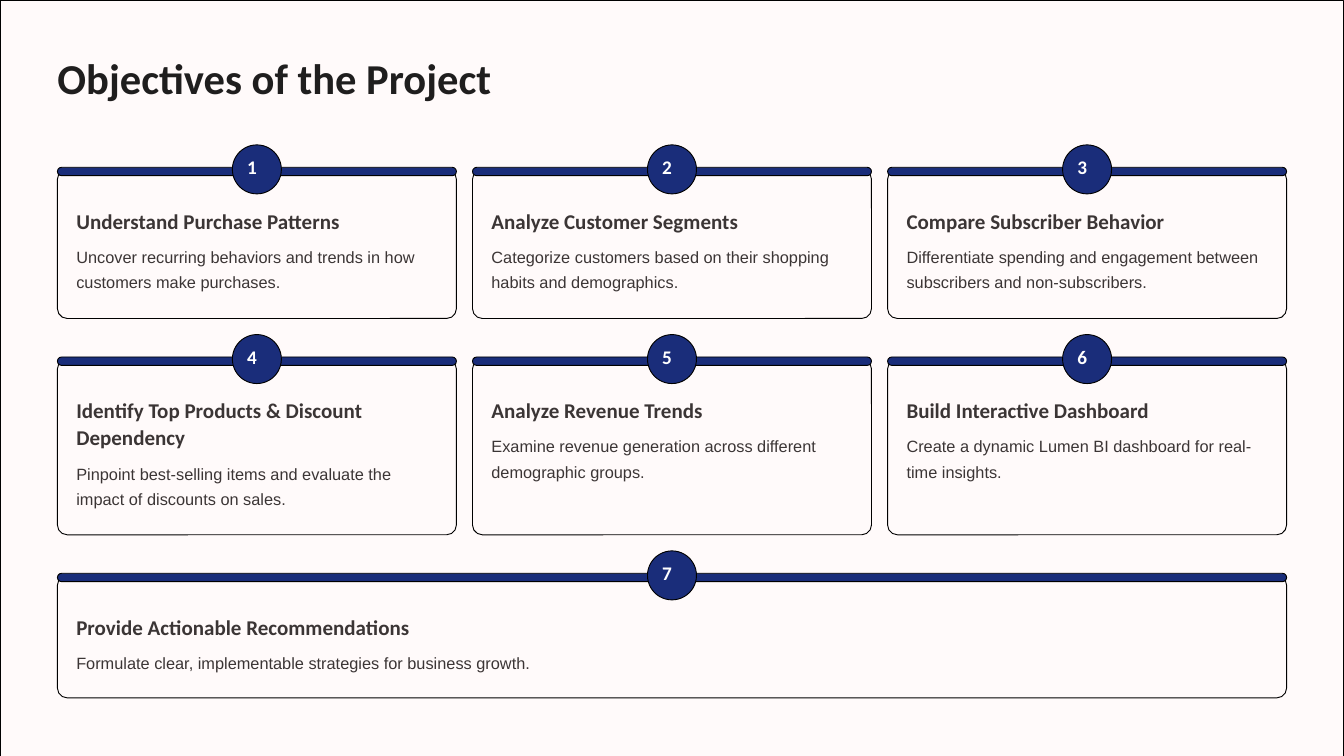
import pptx
import pptx.util
from pptx.dml.color import RGBColor
from pptx.enum.shapes import MSO_SHAPE
from pptx.enum.text import MSO_AUTO_SIZE

PX = 9525  # EMU, with the slide 1920 px wide
WIDTH, HEIGHT = 1920, 1080

CREAM = RGBColor(0xFF, 0xFA, 0xFA)
NAVY = RGBColor(0x1A, 0x2D, 0x7A)
BLACK = RGBColor(0, 0, 0)
WHITE = RGBColor(0xFF, 0xFF, 0xFF)
TITLE_INK = RGBColor(0x1F, 0x1E, 0x1E)
BODY_INK = RGBColor(0x3B, 0x35, 0x35)

MARGIN = 82
COLUMN_GAP = 23
ROW_GAP = 58
FIRST_ROW_TOP = 242
HEADING_LINE = 39

# Each row: card height, then its cards as (heading lines, heading, description)
ROWS = [
    (213, [
        (1, "Understand Purchase Patterns",
         "Uncover recurring behaviors and trends in how customers make purchases."),
        (1, "Analyze Customer Segments",
         "Categorize customers based on their shopping habits and demographics."),
        (1, "Compare Subscriber Behavior",
         "Differentiate spending and engagement between subscribers and non-subscribers."),
    ]),
    (251, [
        (2, "Identify Top Products & Discount Dependency",
         "Pinpoint best-selling items and evaluate the impact of discounts on sales."),
        (1, "Analyze Revenue Trends",
         "Examine revenue generation across different demographic groups."),
        (1, "Build Interactive Dashboard",
         "Create a dynamic Lumen BI dashboard for real-time insights."),
    ]),
    (175, [
        (1, "Provide Actionable Recommendations",
         "Formulate clear, implementable strategies for business growth."),
    ]),
]


def add_panel(page, kind, left, top, width, height, fill, radius=None):
    panel = page.shapes.add_shape(kind, left * PX, top * PX, width * PX, height * PX)
    panel.shadow.inherit = False
    panel.fill.solid()
    panel.fill.fore_color.rgb = fill
    panel.line.color.rgb = BLACK
    panel.line.width = pptx.util.Pt(1)
    if radius is not None:
        panel.adjustments[0] = radius / min(width, height)


def add_text(page, left, top, width, height, text, size, leading, color,
             font="Calibri", bold=True):
    box = page.shapes.add_textbox(left * PX, top * PX, width * PX, height * PX)
    frame = box.text_frame
    frame.margin_left = frame.margin_top = frame.margin_right = frame.margin_bottom = 0
    frame.word_wrap = True
    frame.auto_size = MSO_AUTO_SIZE.SHAPE_TO_FIT_TEXT
    para = frame.paragraphs[0]
    para.text = text
    para.line_spacing = pptx.util.Pt(leading)
    para.font.name = font
    para.font.size = pptx.util.Pt(size)
    para.font.bold = bold
    para.font.color.rgb = color


def add_card(page, left, top, width, height, number, heading_lines, heading, description):
    add_panel(page, MSO_SHAPE.ROUNDED_RECTANGLE, left, top, width, height, CREAM, 14)
    add_panel(page, MSO_SHAPE.ROUNDED_RECTANGLE, left, top - 3, width, 12, NAVY, 6)

    center = left + width // 2
    add_panel(page, MSO_SHAPE.OVAL, center - 35, top - 35, 70, 70, NAVY)
    add_text(page, center - 14, top - 31, 28, 48, str(number), 20.6, 33.1, WHITE)

    text_left, text_width = left + 27, width - 54
    add_text(page, text_left, top + 53, text_width, 5 + heading_lines * HEADING_LINE,
             heading, 22.5, 28.8, BODY_INK)
    description_top = top + 63 + heading_lines * HEADING_LINE
    add_text(page, text_left, description_top, text_width, 84,
             description, 17.5, 27.5, BODY_INK, font="Arial", bold=False)


def add_card_grid(page, left, top, width):
    """Stack the rows, sharing the width equally among the cards of each row."""
    number = 1
    for height, cards in ROWS:
        card_width = (width - COLUMN_GAP * (len(cards) - 1)) // len(cards)
        for column, card in enumerate(cards):
            card_left = left + column * (card_width + COLUMN_GAP)
            add_card(page, card_left, top, card_width, height, number, *card)
            number += 1
        top += height + ROW_GAP


def main():
    deck = pptx.Presentation()
    deck.slide_width, deck.slide_height = WIDTH * PX, HEIGHT * PX
    page = deck.slides.add_slide(deck.slide_layouts[6])
    add_panel(page, MSO_SHAPE.RECTANGLE, 0, 0, WIDTH, HEIGHT, CREAM)
    add_text(page, MARGIN, 70, 766, 90, "Objectives of the Project", 45.6, 57.5, TITLE_INK)
    add_card_grid(page, MARGIN, FIRST_ROW_TOP, WIDTH - 2 * MARGIN)
    deck.save("out.pptx")


if __name__ == "__main__":
    main()
